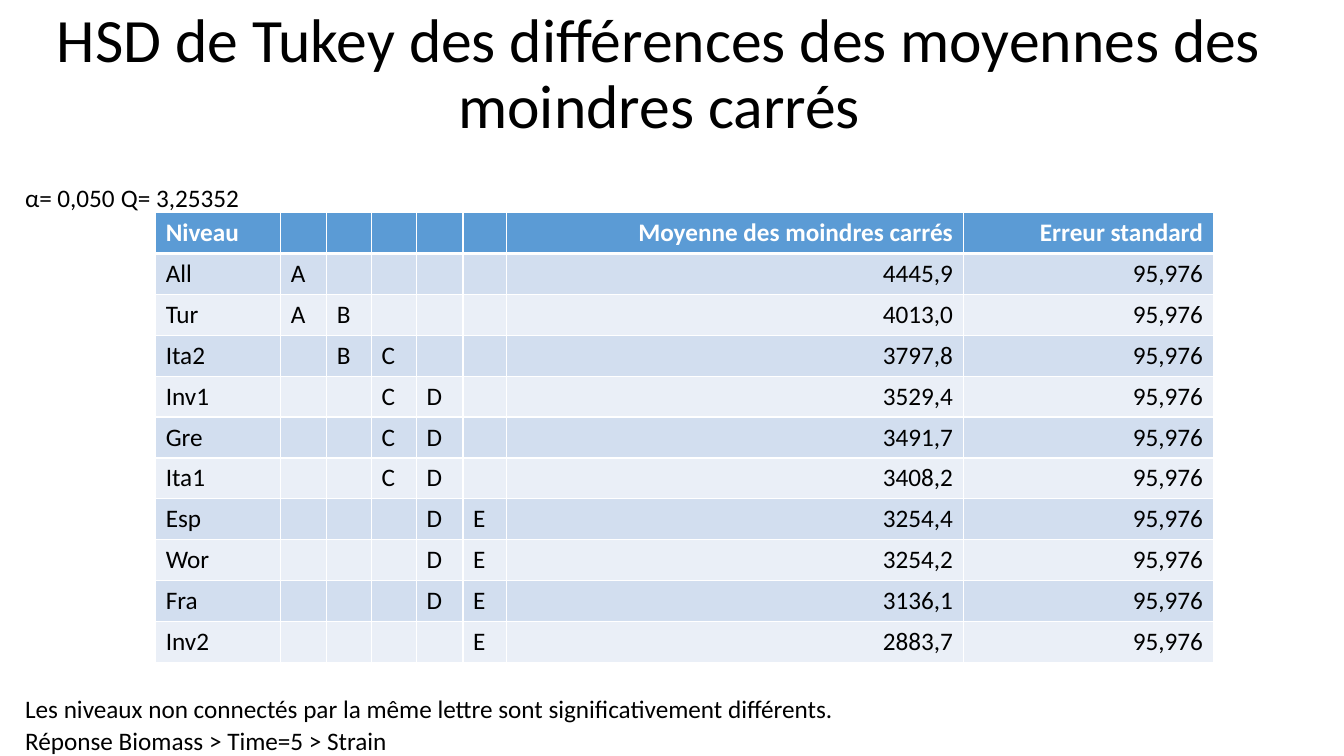
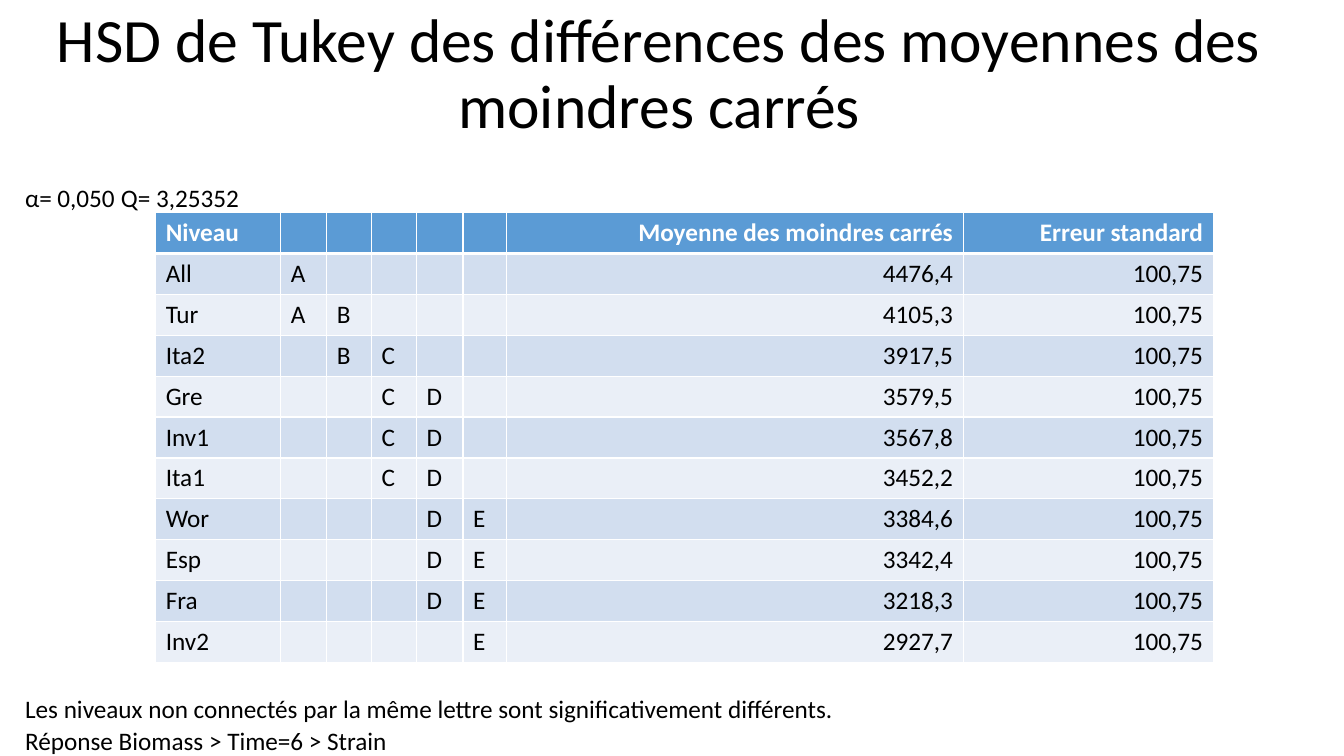
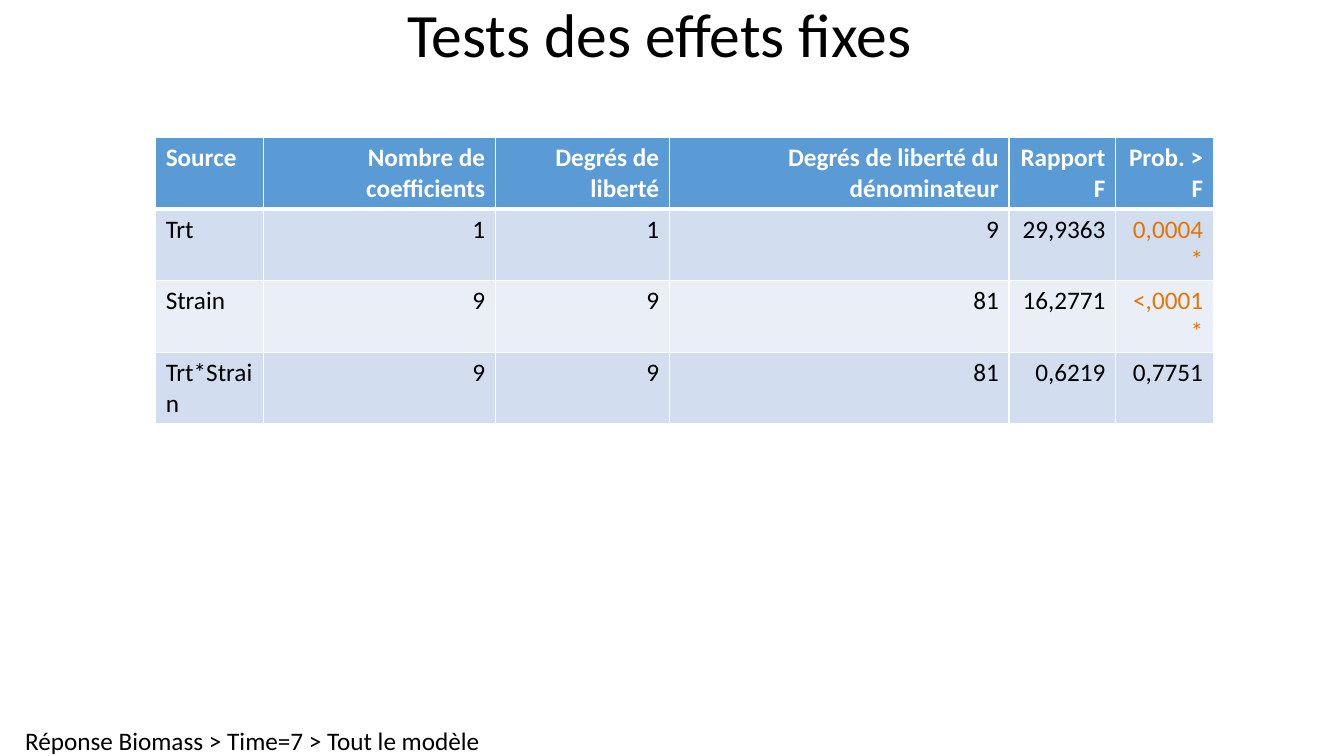
from lxml import etree
from pptx import Presentation
from pptx.dml.color import RGBColor
from pptx.enum import text
from pptx.oxml import ns
from pptx.util import Pt

WHITE = RGBColor(0xFF, 0xFF, 0xFF)
BLACK = RGBColor(0, 0, 0)
BLUE = RGBColor(0x5B, 0x9B, 0xD5)
BANDS = RGBColor(0xEA, 0xEF, 0xF7), RGBColor(0xD2, 0xDE, 0xEF)
ORANGE = RGBColor(0xE5, 0x74, 0x06)
FACE = "Calibri"
EDGE = 18
LINE = 22.3
LEFT, WIDE = 111.2, 755.4
TUKEY = "HSD de Tukey des différences des moyennes des moindres carrés"
NOTE = "Les niveaux non connectés par la même lettre sont significativement différents."
PARTS = (("α=", 18, 22), ("0,050", 41, 44), ("Q=", 86.4, 24), ("3,25352", 111.6, 64))
LETTERS = "ABCDE"
LEVELS = (89.3, 32.9, 32.1, 32.1, 33.2, 31.1, 326.1, 178.6)
EFFECTS = (76.8, 165.8, 124.2, 242.8, 76, 69.8)
TIME5 = (
    ("All", "A", "4445,9"), ("Tur", "AB", "4013,0"), ("Ita2", "BC", "3797,8"),
    ("Inv1", "CD", "3529,4"), ("Gre", "CD", "3491,7"), ("Ita1", "CD", "3408,2"),
    ("Esp", "DE", "3254,4"), ("Wor", "DE", "3254,2"), ("Fra", "DE", "3136,1"),
    ("Inv2", "E", "2883,7"),
)
TIME6 = (
    ("All", "A", "4476,4"), ("Tur", "AB", "4105,3"), ("Ita2", "BC", "3917,5"),
    ("Gre", "CD", "3579,5"), ("Inv1", "CD", "3567,8"), ("Ita1", "CD", "3452,2"),
    ("Wor", "DE", "3384,6"), ("Esp", "DE", "3342,4"), ("Fra", "DE", "3218,3"),
    ("Inv2", "E", "2927,7"),
)
TESTS = (
    ("Source", "Nombre de coefficients", "Degrés de liberté",
     "Degrés de liberté du dénominateur", "Rapport F", "Prob. > F"),
    ("Trt", "1", "1", "9", "29,9363", "0,0004*"),
    ("Strain", "9", "9", "81", "16,2771", "<,0001*"),
    ("Trt*Strain", "9", "9", "81", "0,6219", "0,7751"),
)


def put(item, form):
    """Set each attribute named in a dict of format values."""
    for key, value in form.items():
        setattr(item, key, value)


def style(para, size=18, color=BLACK, bold=False):
    """Give a paragraph the deck font."""
    put(para.font, {"name": FACE, "size": Pt(size), "bold": bold})
    para.font.color.rgb = color


def label(slide, words, left, top, width):
    """Place one line of text without margins."""
    frame = slide.shapes.add_textbox(Pt(left), Pt(top), Pt(width), Pt(LINE)).text_frame
    put(frame, {"margin_left": 0, "margin_top": 0, "margin_right": 0, "margin_bottom": 0,
                "word_wrap": False, "auto_size": text.MSO_AUTO_SIZE.NONE})
    frame.text = words
    para = frame.paragraphs[0]
    para.alignment = text.PP_ALIGN.LEFT
    style(para)


def start(deck, words, height, foot, width):
    """Add a slide with its title and the response line at the foot."""
    slide = deck.slides.add_slide(deck.slide_layouts[5])
    title = slide.shapes.title
    put(title, {"left": 0, "top": 0, "width": Pt(942), "height": Pt(height)})
    frame = title.text_frame
    put(frame, {"text": words, "word_wrap": True, "auto_size": text.MSO_AUTO_SIZE.NONE,
                "vertical_anchor": text.MSO_ANCHOR.MIDDLE})
    para = frame.paragraphs[0]
    put(para, {"alignment": text.PP_ALIGN.CENTER, "line_spacing": 0.9})
    style(para, 44)
    label(slide, foot, EDGE, 518, width)
    return slide


def border(cell, row):
    """Draw white cell edges, heavier under the header row."""
    props = cell._tc.get_or_add_tcPr()
    widths = {"lnL": 1, "lnR": 1, "lnT": 3 if row == 1 else 1, "lnB": 1 if row else 3}
    for tag, width in widths.items():
        line = etree.SubElement(props, ns.qn("a:" + tag), w=str(Pt(width)))
        fill = etree.SubElement(line, ns.qn("a:solidFill"))
        etree.SubElement(fill, ns.qn("a:srgbClr"), val=str(WHITE))


def grid(slide, rows, widths, top, high, right):
    """Build a banded table whose columns from right on are right-aligned."""
    table = slide.shapes.add_table(len(rows), len(widths), Pt(LEFT), Pt(top),
                                   Pt(WIDE), Pt(high * len(rows))).table
    table.horz_banding = False
    for col, width in zip(table.columns, widths):
        col.width = Pt(width)
    for r, row in enumerate(rows):
        table.rows[r].height = Pt(high)
        for c, words in enumerate(row):
            cell = table.cell(r, c)
            border(cell, r)
            cell.fill.solid()
            cell.fill.fore_color.rgb = BANDS[r % 2] if r else BLUE
            cell.text = words
            para = cell.text_frame.paragraphs[0]
            para.alignment = text.PP_ALIGN.RIGHT if c >= right else text.PP_ALIGN.LEFT
            color = ORANGE if words.endswith("*") else BLACK
            style(para, color=color if r else WHITE, bold=r == 0)


def tukey(deck, time, levels, error):
    """Build a slide of Tukey letter groups."""
    slide = start(deck, TUKEY, 108, f"Réponse Biomass > Time={time} > Strain", 264)
    for words, left, width in PARTS:
        label(slide, words, left, 130.3, width)
    rows = [("Niveau", *[""] * len(LETTERS), "Moyenne des moindres carrés", "Erreur standard")]
    for name, group, mean in levels:
        marks = [mark if mark in group else "" for mark in LETTERS]
        rows.append((name, *marks, mean, error))
    grid(slide, rows, LEVELS, 151.9, 28.8, 6)
    label(slide, NOTE, EDGE, 495.4, 585)


def effects(deck):
    """Build the slide of fixed effect tests."""
    slide = start(deck, "Tests des effets fixes", 54,
                  "Réponse Biomass > Time=7 > Tout le modèle", 332)
    grid(slide, TESTS, EFFECTS, 98.2, 51.1, 1)


def main():
    """Build and save the deck."""
    deck = Presentation()
    put(deck, {"slide_width": Pt(960), "slide_height": Pt(540)})
    tukey(deck, 5, TIME5, "95,976")
    tukey(deck, 6, TIME6, "100,75")
    effects(deck)
    deck.save("out.pptx")


if __name__ == "__main__":
    main()
